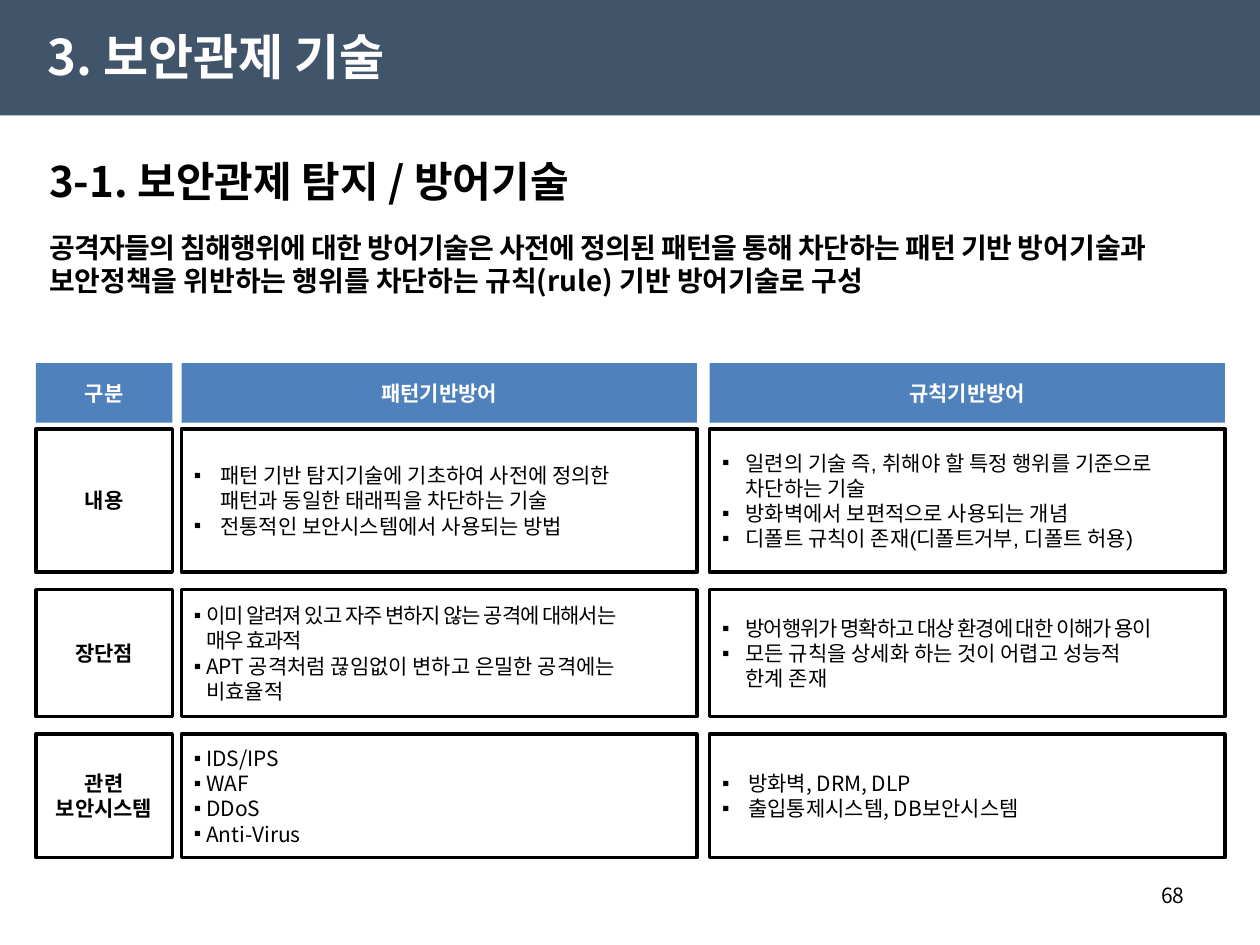
from lxml import etree
from pptx import Presentation
from pptx import util as u
from pptx.dml import color
from pptx.enum import shapes, text
from pptx.oxml import ns

COLORS = {"bar": "40546A", "header": "4F81BD", "white": "FFFFFF", "black": "000000"}
KOREAN = "Noto Sans CJK KR"
LEFT, CENTER, RIGHT = text.PP_ALIGN.LEFT, text.PP_ALIGN.CENTER, text.PP_ALIGN.RIGHT


def write(shape, lines, size, ink="black", bold=False, align=LEFT, font=KOREAN,
          indent=0, tight=(), anchor=text.MSO_ANCHOR.MIDDLE):
    frame = shape.text_frame
    frame.word_wrap = True
    frame.auto_size = text.MSO_AUTO_SIZE.NONE
    frame.vertical_anchor = anchor
    for number, line in enumerate(lines):
        paragraph = frame.add_paragraph() if number else frame.paragraphs[0]
        paragraph.text = line
        paragraph.alignment = align
        if indent:
            properties = paragraph._p.get_or_add_pPr()
            properties.set("marL", str(u.Pt(indent)))
            properties.set("indent", str(-u.Pt(indent)))
            etree.SubElement(properties, ns.qn("a:buFont")).set("typeface", "Arial")
            etree.SubElement(properties, ns.qn("a:buChar")).set("char", "▪")
        paragraph.font.size = u.Pt(size)
        paragraph.font.bold = bold
        paragraph.font.name = font
        paragraph.font.color.rgb = color.RGBColor.from_string(COLORS[ink])
        defaults = paragraph._p.pPr.find(ns.qn("a:defRPr"))
        etree.SubElement(defaults, ns.qn("a:ea")).set("typeface", KOREAN)
        if line in tight:
            for run in paragraph.runs:
                run._r.get_or_add_rPr().set("spc", "-60")


def add_box(left, top, width, height, fill=None, line=None):
    shape = slide.shapes.add_shape(shapes.MSO_SHAPE.RECTANGLE, u.Pt(left), u.Pt(top),
                                   u.Pt(width), u.Pt(height))
    shape.shadow.inherit = False
    if fill:
        shape.fill.solid()
        shape.fill.fore_color.rgb = color.RGBColor.from_string(COLORS[fill])
    else:
        shape.fill.background()
    if line:
        shape.line.color.rgb = color.RGBColor.from_string(COLORS[line])
        shape.line.width = u.Pt(2)
    else:
        shape.line.fill.background()
    return shape


presentation = Presentation()
presentation.slide_width, presentation.slide_height = u.Pt(720), u.Pt(540)
slide = presentation.slides.add_slide(presentation.slide_layouts[5])

bar = add_box(0, 0, 720, 66, fill="bar")
slide.shapes._spTree.insert(2, bar._element)

title = slide.shapes.title
title.left, title.top, title.width, title.height = u.Pt(20), u.Pt(9.5), u.Pt(340), u.Pt(45)
write(title, ["3. 보안관제 기술"], 28, "white", bold=True)

subtitle = slide.shapes.add_textbox(u.Pt(21), u.Pt(83), u.Pt(679), u.Pt(40))
write(subtitle, ["3-1. 보안관제 탐지 / 방어기술"], 24, bold=True)

summary = slide.shapes.add_textbox(u.Pt(21), u.Pt(128), u.Pt(679), u.Pt(46))
write(summary, ["공격자들의 침해행위에 대한 방어기술은 사전에 정의된 패턴을 통해 차단하는 패턴 기반 방"],
      16, bold=True, anchor=text.MSO_ANCHOR.TOP)
opening = summary.text_frame.paragraphs[0]
opening.runs[0]._r.get_or_add_rPr().set("spc", "-30")
opening.add_run().text = "어기술과 보안정책을 위반하는 행위를 차단하는 규칙(rule) 기반 방어기술로 구성"

columns = [(20.5, 78), (103.75, 294.5), (405.5, 294.5)]
for (left, width), heading in zip(columns, ["구분", "패턴기반방어", "규칙기반방어"]):
    header = add_box(left, 207.5, width, 34, fill="header")
    write(header, [heading], 12, "white", bold=True, align=CENTER)

tight_lines = ["이미 알려져 있고 자주 변하지 않는 공격에 대해서는\v매우 효과적",
               "방어행위가 명확하고 대상 환경에 대한 이해가 용이"]
rows = [
    (245, 82, "내용",
     ("Arial", 15, ["패턴 기반 탐지기술에 기초하여 사전에 정의한\v패턴과 동일한 태래픽을 차단하는 기술",
                    "전통적인 보안시스템에서 사용되는 방법"]),
     ("Arial", 13.5, ["일련의 기술 즉, 취해야 할 특정 행위를 기준으로 차단하는 기술",
                      "방화벽에서 보편적으로 사용되는 개념",
                      "디폴트 규칙이 존재(디폴트거부, 디폴트 허용)"])),
    (337, 72.5, "장단점",
     (KOREAN, 7, [tight_lines[0], "APT 공격처럼 끊임없이 변하고 은밀한 공격에는\v비효율적"]),
     ("Arial", 13.5, [tight_lines[1], "모든 규칙을 상세화 하는 것이 어렵고 성능적\v한계 존재"])),
    (419.5, 70.5, "관련 보안시스템",
     (KOREAN, 7, ["IDS/IPS", "WAF", "DDoS", "Anti-Virus"]),
     (KOREAN, 15, ["방화벽, DRM, DLP", "출입통제시스템, DB보안시스템"])),
]
for top, height, label, *details in rows:
    label_box = add_box(columns[0][0], top, columns[0][1], height, line="black")
    write(label_box, [label], 12, bold=True, align=CENTER)
    for (left, width), (font, indent, lines) in zip(columns[1:], details):
        detail_box = add_box(left, top, width, height, line="black")
        write(detail_box, lines, 12, font=font, indent=indent, tight=tight_lines)

page_number = slide.shapes.add_textbox(u.Pt(516), u.Pt(500.5), u.Pt(168), u.Pt(29))
write(page_number, ["68"], 12, align=RIGHT, anchor=text.MSO_ANCHOR.TOP)

presentation.save("out.pptx")
